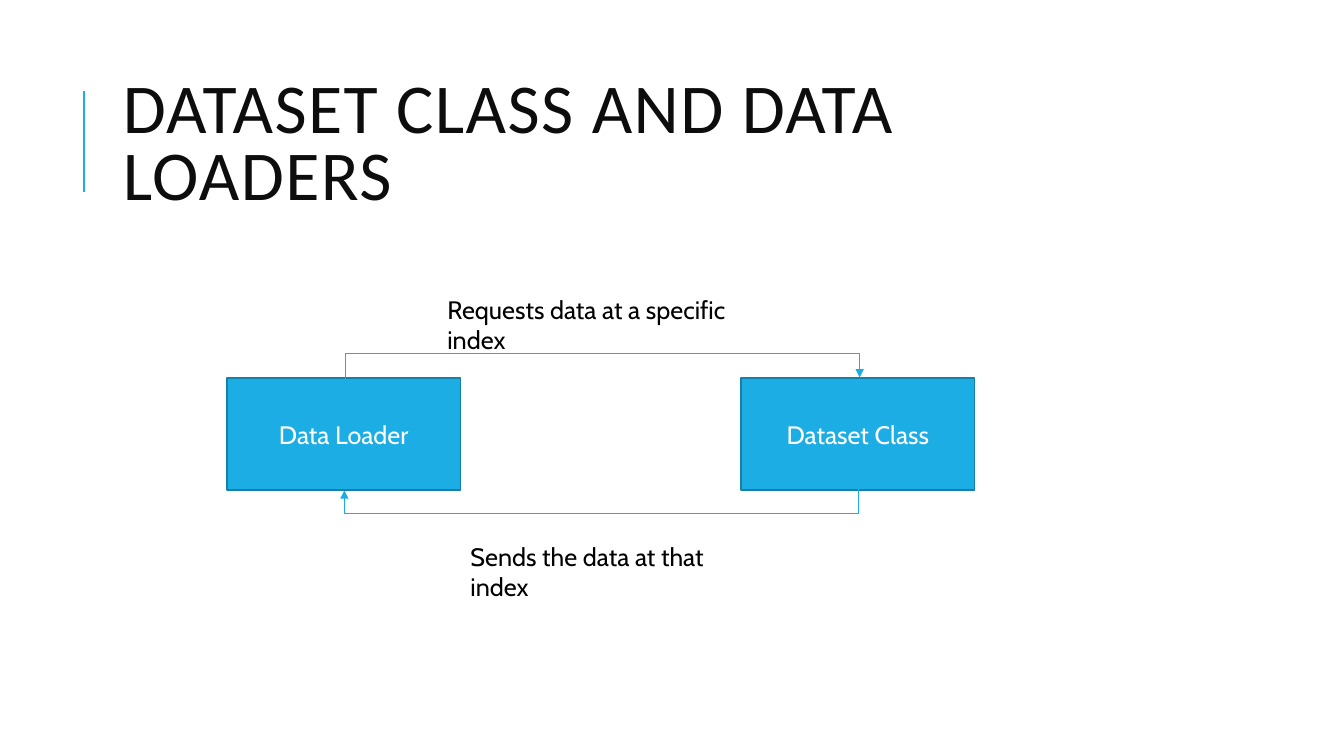
from dataclasses import dataclass

from lxml.etree import SubElement
from pptx import Presentation
from pptx.dml.color import RGBColor
from pptx.enum.shapes import MSO_CONNECTOR, MSO_SHAPE
from pptx.enum.text import MSO_ANCHOR, PP_ALIGN
from pptx.oxml.ns import qn
from pptx.shapes.connector import Connector
from pptx.slide import Slide
from pptx.text.text import TextFrame
from pptx.util import Pt


@dataclass(frozen=True)
class Theme:
    accent: RGBColor = RGBColor(0x1C, 0xAD, 0xE4)
    border: RGBColor = RGBColor(0x15, 0x80, 0xA9)
    title: RGBColor = RGBColor(0x0D, 0x0D, 0x0D)
    text: RGBColor = RGBColor(0, 0, 0)
    inverse: RGBColor = RGBColor(0xFF, 0xFF, 0xFF)
    title_font: str = "Calibri"
    body_font: str = "Cabin"
    title_size: float = 50
    body_size: float = 18


@dataclass(frozen=True)
class Label:
    text: str
    left: float
    top: float
    width: float
    height: float


@dataclass(frozen=True)
class Arrow:
    mid_x: float
    mid_y: float
    rightward: bool


THEME = Theme()
BOX_W, BOX_H, BOX_TOP = 167, 80, 270
BOX_LEFT, BOX_PITCH = 162, 367.2
ARROW_DROP, ARROW_BEND = 1, 18  # height between the ends; bend as a multiple of it

TITLE = Label("DATASET CLASS AND DATA LOADERS", 80.64, 46.08, 765.36, 118.08)
BOXES = [
    Label(name, BOX_LEFT + i * BOX_PITCH, BOX_TOP, BOX_W, BOX_H)
    for i, name in enumerate(("Data Loader", "Dataset Class"))
]
CAPTIONS = [
    Label("Requests data at a specific index", 312.5, 206.6, 254.2, 29),
    Label("Sends the data at that index", 329, 383, 221, 29),
]
ARROWS = [Arrow(430.5, 270.2, True), Arrow(429.6, 349.7, False)]


def write(tf: TextFrame, text: str, font: str, size: float, color: RGBColor) -> None:
    tf.word_wrap = True
    tf.text = text
    f = tf.paragraphs[0].runs[0].font
    f.name, f.size = font, Pt(size)
    f.color.rgb = color


def add_text(slide: Slide, label: Label, font: str, size: float, color: RGBColor) -> TextFrame:
    sp = slide.shapes.add_textbox(
        Pt(label.left), Pt(label.top), Pt(label.width), Pt(label.height))
    write(sp.text_frame, label.text, font, size, color)
    return sp.text_frame


def add_title(slide: Slide) -> None:
    tf = add_text(slide, TITLE, THEME.title_font, THEME.title_size, THEME.title)
    tf.vertical_anchor = MSO_ANCHOR.MIDDLE
    p = tf.paragraphs[0]
    p.line_spacing = 0.8
    p.runs[0].font._element.set("spc", "100")


def add_box(slide: Slide, box: Label) -> None:
    sp = slide.shapes.add_shape(
        MSO_SHAPE.RECTANGLE, Pt(box.left), Pt(box.top), Pt(box.width), Pt(box.height))
    sp.shadow.inherit = False
    sp.fill.solid()
    sp.fill.fore_color.rgb = THEME.accent
    sp.line.color.rgb = THEME.border
    sp.line.width = Pt(1.25)
    write(sp.text_frame, box.text, THEME.body_font, THEME.body_size, THEME.inverse)
    sp.text_frame.vertical_anchor = MSO_ANCHOR.MIDDLE
    sp.text_frame.paragraphs[0].alignment = PP_ALIGN.CENTER


def add_line(slide: Slide, kind: MSO_CONNECTOR, x1: float, y1: float,
             x2: float, y2: float, width: float) -> Connector:
    cn = slide.shapes.add_connector(kind, Pt(x1), Pt(y1), Pt(x2), Pt(y2))
    cn.line.color.rgb = THEME.accent
    cn.line.width = Pt(width)
    SubElement(cn._element.spPr, qn("a:effectLst"))
    return cn


def add_arrow(slide: Slide, arrow: Arrow) -> None:
    """Draw a tall elbow and turn it by 90 degrees, so it leaves and enters vertically."""
    sign = 1 if arrow.rightward else -1
    dx, dy = sign * ARROW_DROP / 2, sign * BOX_PITCH / 2
    cn = add_line(slide, MSO_CONNECTOR.ELBOW, arrow.mid_x + dx, arrow.mid_y + dy,
                  arrow.mid_x - dx, arrow.mid_y - dy, 0.75)
    spPr = cn._element.spPr
    spPr.find(qn("a:xfrm")).set("rot", "5400000")
    guides = spPr.find(qn("a:prstGeom")).find(qn("a:avLst"))
    SubElement(guides, qn("a:gd"), name="adj1", fmla=f"val {ARROW_BEND * 100000}")
    SubElement(spPr.find(qn("a:ln")), qn("a:tailEnd"), type="triangle")


def main() -> None:
    prs = Presentation()
    prs.slide_width, prs.slide_height = Pt(960), Pt(540)
    slide = prs.slides.add_slide(prs.slide_layouts[6])
    add_line(slide, MSO_CONNECTOR.STRAIGHT, 60, 136.8, 60, 64.8, 1.5)
    add_title(slide)
    for box in BOXES:
        add_box(slide, box)
    for arrow in ARROWS:
        add_arrow(slide, arrow)
    for caption in CAPTIONS:
        add_text(slide, caption, THEME.body_font, THEME.body_size, THEME.text)
    prs.save("out.pptx")


if __name__ == "__main__":
    main()
